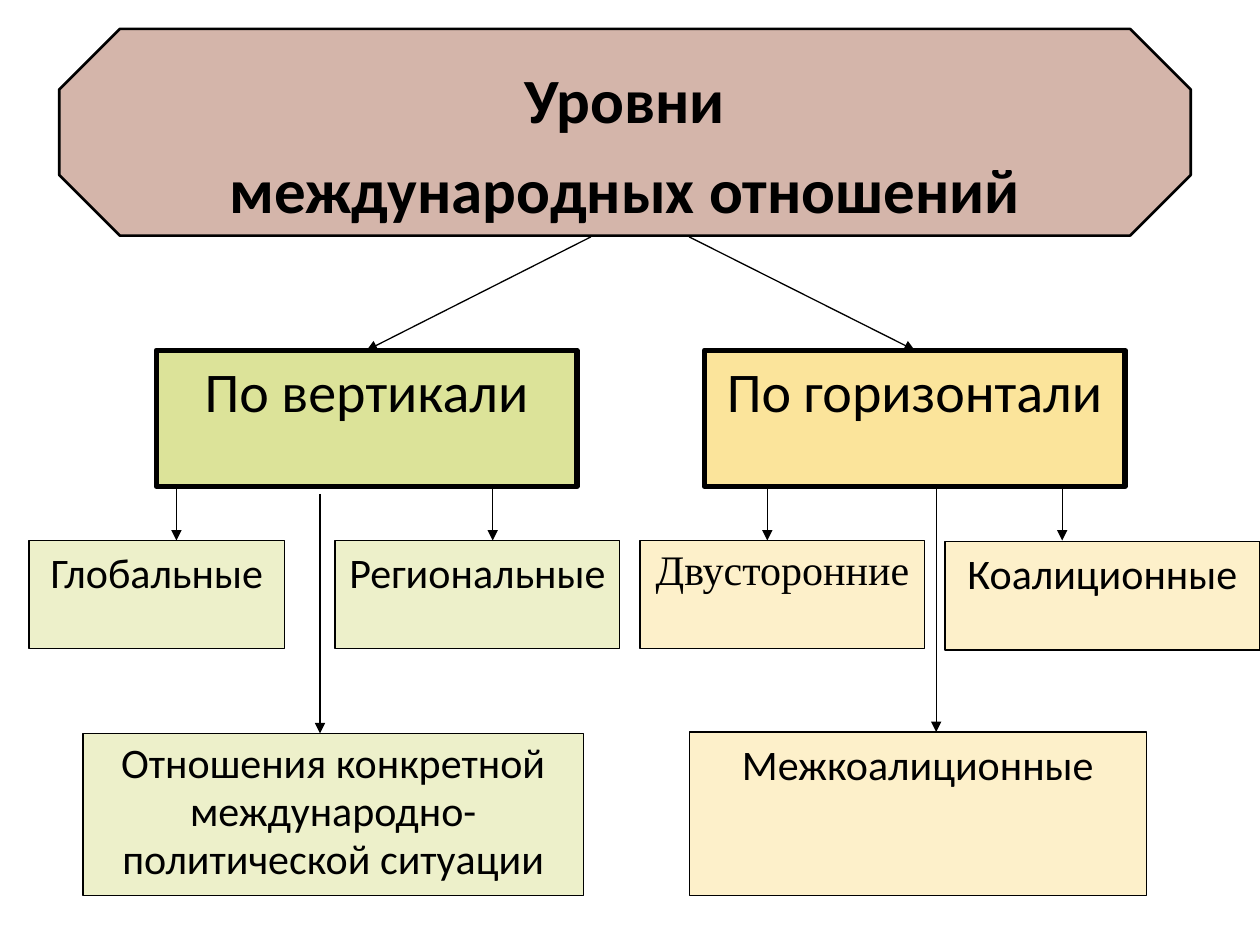
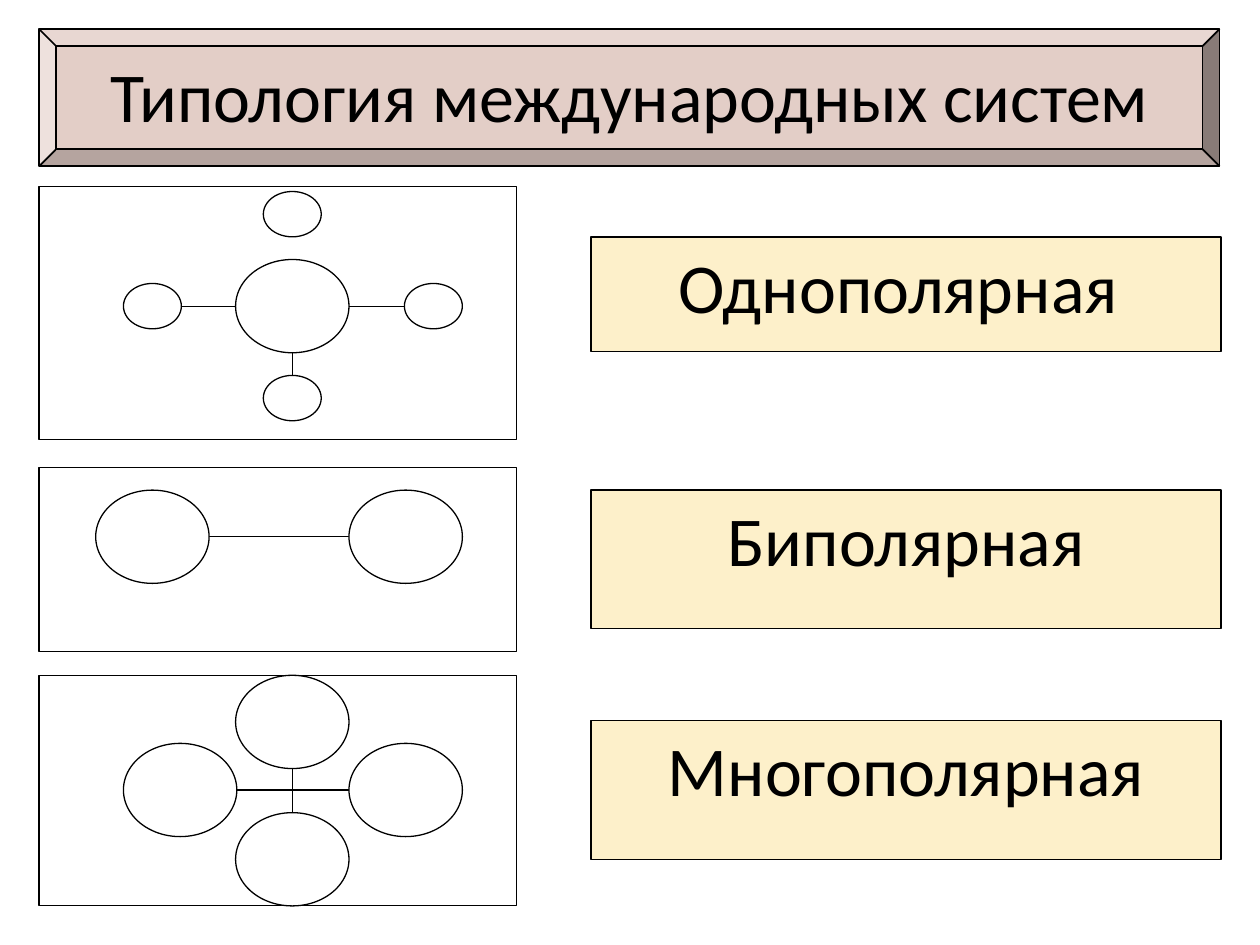
from dataclasses import dataclass

from lxml import etree
from pptx import Presentation
from pptx import util as u
from pptx.dml.color import RGBColor
from pptx.enum import shapes, text
from pptx.oxml.ns import qn

PX = 9144  # EMU per px, 100 px to the inch
PRESET = shapes.MSO_SHAPE


@dataclass(frozen=True)
class Theme:
    font: str = "Calibri"
    serif: str = "Times New Roman"
    ink: str = "000000"
    paper: str = "FFFFFF"
    levels_band: str = "D4B5AA"
    typology_band: str = "E3CEC7"
    vertical: str = "DCE399"
    vertical_light: str = "EDF0CA"
    horizontal: str = "FBE49B"
    horizontal_light: str = "FDF0CA"
    banner: int = 40
    title: int = 36
    axis: int = 32
    level: int = 24
    thin: float = 0.75
    thick: float = 3


theme = Theme()


def style(shape, fill=None, weight=theme.thin, words="", size=theme.level,
          font=theme.font, bold=False, leading=1.0, after=10):
    """Fill and outline a shape (if a fill is given) and set its text."""
    if fill:
        shape.shadow.inherit = False
        shape.fill.solid()
        shape.fill.fore_color.rgb = RGBColor.from_string(fill)
        shape.line.color.rgb = RGBColor.from_string(theme.ink)
        shape.line.width = u.Pt(weight)
    if not words:
        return
    frame = shape.text_frame
    frame.text = words
    frame.word_wrap = True
    frame.auto_size = text.MSO_AUTO_SIZE.NONE
    frame.vertical_anchor = text.MSO_ANCHOR.TOP
    for paragraph in frame.paragraphs:
        paragraph.alignment = text.PP_ALIGN.CENTER
        paragraph.line_spacing = leading
        paragraph.space_after = u.Pt(after)
        for run in paragraph.runs:
            run.font.name = font
            run.font.size = u.Pt(size)
            run.font.bold = bold
            run.font.color.rgb = RGBColor.from_string(theme.ink)


def add_line(slide, x1, y1, x2, y2, arrow=False):
    line = slide.shapes.add_connector(
        shapes.MSO_CONNECTOR.STRAIGHT, *(v * PX for v in (x1, y1, x2, y2)))
    line.line.color.rgb = RGBColor.from_string(theme.ink)
    line.line.width = u.Pt(theme.thin)
    if arrow:
        etree.SubElement(line.line._get_or_add_ln(), qn("a:tailEnd"), type="triangle")
    etree.SubElement(line.element.spPr, qn("a:effectLst"))


prs = Presentation()
prs.slide_width, prs.slide_height = 1000 * PX, 750 * PX

# Title bands with the title placeholder on top
titles = [
    (PRESET.OCTAGON, 0.293, (47, 23, 898, 164), theme.levels_band, 1.5, 24,
     dict(words="Уровни\nмеждународных отношений", size=theme.title, bold=True, leading=0.96)),
    (PRESET.BEVEL, 0.125, (31, 23, 937, 109), theme.typology_band, 1, 14,
     dict(words="Типология международных систем", size=theme.banner)),
]
slides = []
for preset, adjustment, (x, y, w, h), fill, weight, inset, wording in titles:
    slide = prs.slides.add_slide(prs.slide_layouts[5])
    band = slide.shapes.add_shape(preset, x * PX, y * PX, w * PX, h * PX)
    band.adjustments[0] = adjustment
    style(band, fill, weight)
    title = slide.shapes.title
    title.left, title.top = (x + inset) * PX, (y + inset) * PX
    title.width, title.height = (w - 2 * inset) * PX, (h - 2 * inset) * PX
    style(title, **wording)
    band.element.addnext(title.element)
    slides.append(slide)
levels, typology = slides

# Slide 1: the two axes and the levels below them
axis = dict(weight=theme.thick, size=theme.axis)
level_boxes = [
    ("По вертикали", (124, 278, 334, 108), theme.vertical, axis),
    ("По горизонтали", (559, 278, 334, 108), theme.horizontal, axis),
    ("Глобальные", (23, 429, 203, 86), theme.vertical_light, {}),
    ("Региональные", (266, 429, 226, 86), theme.vertical_light, {}),
    ("Двусторонние", (508, 429, 226, 86), theme.horizontal_light,
     dict(font=theme.serif, leading=0.96, after=0)),
    ("Коалиционные", (750, 430, 250, 86), theme.horizontal_light, {}),
    ("Отношения конкретной международно-политической ситуации",
     (66, 582, 397, 129), theme.vertical_light, dict(leading=0.96)),
    ("Межкоалиционные", (547, 581, 363, 130), theme.horizontal_light, {}),
]
for words, place, fill, options in level_boxes:
    box = levels.shapes.add_shape(PRESET.RECTANGLE, *(v * PX for v in place))
    style(box, fill, words=words, **options)

# Arrows from the title to the axes, then from the axes to the levels
add_line(levels, 469, 188, 291, 278, arrow=True)
add_line(levels, 547, 188, 726, 278, arrow=True)
for x, top, bottom in [(140, 386, 429), (391, 386, 429), (609, 386, 429),
                       (843, 386, 429), (743, 386, 581), (254, 392, 582)]:
    add_line(levels, x, top, x, bottom, arrow=True)

# Slide 2: each system has a panel, a label, links and poles (centre and size)
major, minor = (90, 74), (46, 36)
systems = [
    ("Однополярная ", (148, 201), (188, 91),
     [(232, 206, 232, 280), (232, 280, 232, 316), (121, 243, 344, 243)],
     [(232, 170, minor), (121, 243, minor), (344, 243, minor),
      (232, 316, minor), (232, 243, major)]),
    ("Биполярная", (371, 146), (389, 110),
     [(121, 426, 322, 426)],
     [(121, 426, major), (322, 426, major)]),
    ("Многополярная", (536, 183), (572, 110),
     [(232, 573, 232, 682), (143, 627, 322, 627)],
     [(232, 573, major), (143, 627, major), (322, 627, major), (232, 682, major)]),
]
for words, (panel_y, panel_h), (label_y, label_h), links, poles in systems:
    panel = typology.shapes.add_shape(
        PRESET.RECTANGLE, 31 * PX, panel_y * PX, 379 * PX, panel_h * PX)
    style(panel, theme.paper)
    label = typology.shapes.add_shape(
        PRESET.RECTANGLE, 469 * PX, label_y * PX, 500 * PX, label_h * PX)
    style(label, theme.horizontal_light, words=words, size=theme.banner)
    # Links run under the poles, so only the part between them shows
    for link in links:
        add_line(typology, *link)
    for x, y, (w, h) in poles:
        pole = typology.shapes.add_shape(
            PRESET.OVAL, (x - w // 2) * PX, (y - h // 2) * PX, w * PX, h * PX)
        style(pole, theme.paper)

prs.save("out.pptx")
